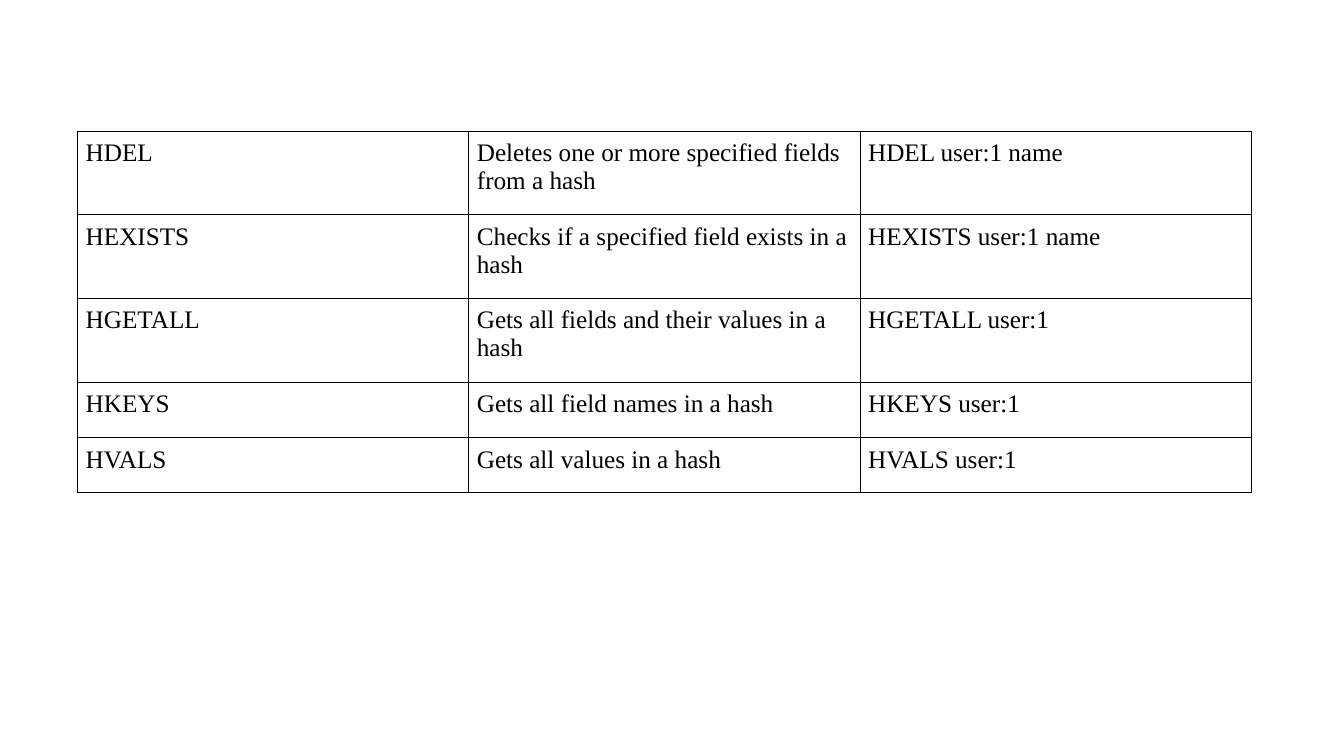
from lxml import etree
from pptx import Presentation
from pptx.dml.color import RGBColor
from pptx.enum.text import MSO_ANCHOR
from pptx.oxml.ns import qn
from pptx.util import Inches, Pt

TOP = MSO_ANCHOR.TOP
COLORS = {"text": "000000", "border": "000000"}
FONT = "Times New Roman"
COL_WIDTH = 3.88
ROW_HEIGHTS = [0.83, 0.83, 0.83, 0.55, 0.55]
COMMANDS = [
    ("HDEL", "Deletes one or more specified fields from a hash", "HDEL user:1 name"),
    ("HEXISTS", "Checks if a specified field exists in a hash", "HEXISTS user:1 name"),
    ("HGETALL", "Gets all fields and their values in a hash", "HGETALL user:1"),
    ("HKEYS", "Gets all field names in a hash", "HKEYS user:1"),
    ("HVALS", "Gets all values in a hash", "HVALS user:1"),
]


def set_borders(cell):
    """Draw a thin solid line on all four sides of a cell."""
    tc_pr = cell._tc.get_or_add_tcPr()
    for i, side in enumerate(("lnL", "lnR", "lnT", "lnB")):
        ln = etree.Element(qn(f"a:{side}"), w=str(Pt(0.75)))
        fill = etree.SubElement(ln, qn("a:solidFill"))
        etree.SubElement(fill, qn("a:srgbClr"), val=COLORS["border"])
        tc_pr.insert(i, ln)


def fill_cell(cell, text):
    """Write a cell's text and set its margins, font and borders."""
    cell.margin_left = cell.margin_right = Inches(0.08)
    cell.margin_top = cell.margin_bottom = Inches(0.08)
    cell.vertical_anchor = TOP
    cell.fill.background()
    cell.text = text
    font = cell.text_frame.paragraphs[0].font
    font.name = FONT
    font.size = Pt(18)
    font.bold = False
    font.color.rgb = RGBColor.from_string(COLORS["text"])
    set_borders(cell)


def add_command_table(s, left, top):
    """Add the table of hash commands."""
    n_cols = len(COMMANDS[0])
    frame = s.shapes.add_table(
        len(COMMANDS), n_cols, Inches(left), Inches(top),
        Inches(n_cols * COL_WIDTH), Inches(sum(ROW_HEIGHTS)))
    table = frame.table
    table.first_row = False
    table.horz_banding = False
    for column in table.columns:
        column.width = Inches(COL_WIDTH)
    for row, height, texts in zip(table.rows, ROW_HEIGHTS, COMMANDS):
        row.height = Inches(height)
        for cell, text in zip(row.cells, texts):
            fill_cell(cell, text)


def main():
    """Build the slide and save it."""
    prs = Presentation()
    prs.slide_width = Inches(13.33)
    prs.slide_height = Inches(7.5)
    s = prs.slides.add_slide(prs.slide_layouts[6])
    add_command_table(s, 0.77, 1.3)
    prs.save("out.pptx")


if __name__ == "__main__":
    main()
